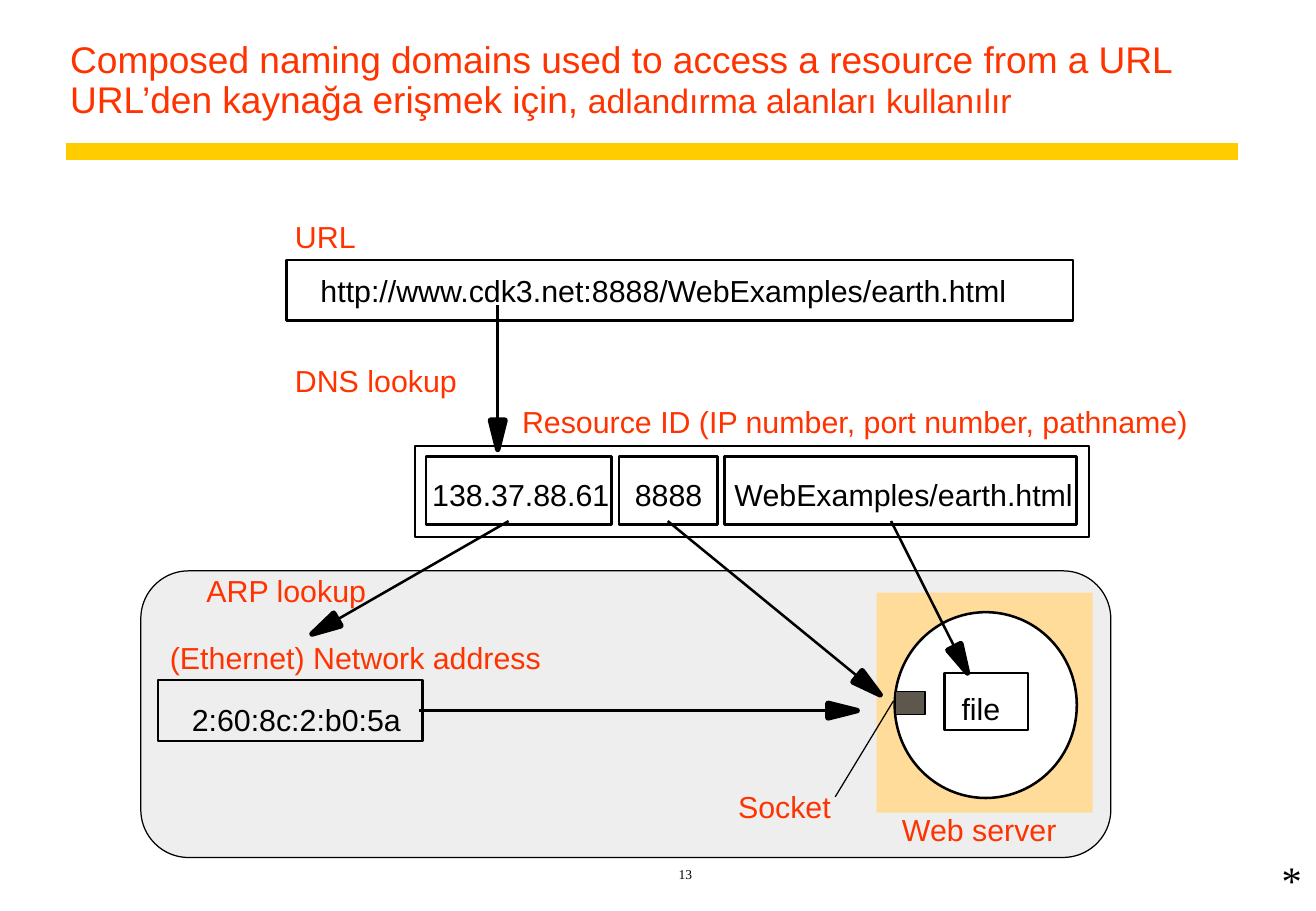
from dataclasses import dataclass
from math import hypot
from typing import NamedTuple, Optional

from lxml.etree import SubElement
from pptx import Presentation
from pptx.dml.color import RGBColor
from pptx.enum.shapes import MSO_CONNECTOR, MSO_SHAPE
from pptx.enum.text import MSO_ANCHOR, MSO_AUTO_SIZE, PP_ALIGN
from pptx.oxml.ns import qn
from pptx.util import Inches, Pt


@dataclass(frozen=True)
class Theme:
    black: str = "000000"
    white: str = "FFFFFF"
    label: str = "FF3300"
    rule: str = "FFCC00"
    network: str = "EEEEEE"
    server: str = "FFDC99"
    socket: str = "5E574E"
    sans: str = "Arial"
    serif: str = "Times New Roman"
    title_size: int = 22
    subtitle_size: int = 20
    body_size: int = 18
    number_size: int = 8
    mark_size: int = 24
    thin: float = 0.75
    medium: float = 1.5
    head_line: float = 3.25
    rule_line: float = 10


THEME = Theme()
HEAD_LENGTH, HEAD_HALF_WIDTH = 0.24, 0.06


class Box(NamedTuple):
    left: float
    top: float
    width: float
    height: float
    kind: MSO_SHAPE = MSO_SHAPE.RECTANGLE
    fill: Optional[str] = None
    line_width: float = THEME.medium


class Label(NamedTuple):
    text: str
    left: float
    top: float
    width: float
    color: str = THEME.label


class Arrow(NamedTuple):
    start: tuple[float, float]
    tip: tuple[float, float]


def style_shape(shape, fill: Optional[str], line_width: float) -> None:
    shape.shadow.inherit = False
    if fill:
        shape.fill.solid()
        shape.fill.fore_color.rgb = RGBColor.from_string(fill)
    else:
        shape.fill.background()
    if line_width:
        shape.line.color.rgb = RGBColor.from_string(THEME.black)
        shape.line.width = Pt(line_width)
    else:
        shape.line.fill.background()


def draw_box(slide, box: Box) -> None:
    shape = slide.shapes.add_shape(box.kind, *map(Inches, box[:4]))
    style_shape(shape, box.fill, box.line_width)


def draw_line(slide, start: tuple[float, float], end: tuple[float, float],
              width: float = THEME.medium, color: str = THEME.black) -> None:
    connector = slide.shapes.add_connector(
        MSO_CONNECTOR.STRAIGHT, *map(Inches, (*start, *end)))
    connector.line.color.rgb = RGBColor.from_string(color)
    connector.line.width = Pt(width)
    SubElement(connector._element.spPr, qn("a:effectLst"))


def draw_arrow(slide, arrow: Arrow) -> None:
    """Draw a line that ends in a long, solid triangular head."""
    (start_x, start_y), (tip_x, tip_y) = arrow
    length = hypot(tip_x - start_x, tip_y - start_y)
    unit_x, unit_y = (tip_x - start_x) / length, (tip_y - start_y) / length
    base_x, base_y = tip_x - HEAD_LENGTH * unit_x, tip_y - HEAD_LENGTH * unit_y
    side_x, side_y = -HEAD_HALF_WIDTH * unit_y, HEAD_HALF_WIDTH * unit_x
    draw_line(slide, arrow.start, (base_x, base_y))
    builder = slide.shapes.build_freeform(
        Inches(base_x + side_x), Inches(base_y + side_y))
    builder.add_line_segments([
        (Inches(tip_x), Inches(tip_y)),
        (Inches(base_x - side_x), Inches(base_y - side_y))], close=True)
    head = builder.convert_to_shape()
    style_shape(head, THEME.black, THEME.head_line)
    SubElement(head.line._get_or_add_ln(), qn("a:round"))


def add_run(paragraph, text: str, *, size: int = THEME.body_size,
            color: str = THEME.black, font: str = THEME.sans) -> None:
    run = paragraph.add_run()
    run.text = text
    run.font.name = font
    run.font.size = Pt(size)
    run.font.color.rgb = RGBColor.from_string(color)


def add_text(slide, text: str, *, at: tuple[float, float, float, float],
             margins: tuple[float, float] = (0, 0), wrap: bool = False,
             anchor=MSO_ANCHOR.TOP, align=PP_ALIGN.LEFT, **run_format):
    """Add a text box, growing with its text unless it wraps; return its paragraph."""
    frame = slide.shapes.add_textbox(*map(Inches, at)).text_frame
    frame.word_wrap = wrap
    frame.auto_size = MSO_AUTO_SIZE.NONE if wrap else MSO_AUTO_SIZE.SHAPE_TO_FIT_TEXT
    frame.vertical_anchor = anchor
    frame.margin_left = frame.margin_right = Inches(margins[0])
    frame.margin_top = frame.margin_bottom = Inches(margins[1])
    paragraph = frame.paragraphs[0]
    paragraph.alignment = align
    add_run(paragraph, text, **run_format)
    return paragraph


NETWORK_BOXES = [
    Box(1.16, 4.7, 7.99, 2.36, MSO_SHAPE.ROUNDED_RECTANGLE, THEME.network, THEME.thin),
    Box(7.22, 4.88, 1.78, 1.81, fill=THEME.server, line_width=0),
    Box(7.37, 5.04, 1.5, 1.53, MSO_SHAPE.OVAL, THEME.white),
    Box(7.78, 5.54, 0.69, 0.47),
    Box(7.38, 5.69, 0.24, 0.19, fill=THEME.socket, line_width=THEME.thin),
    Box(1.3, 5.6, 2.18, 0.5),
]
ADDRESS_BOXES = [
    Box(2.36, 2.14, 6.48, 0.5),
    Box(3.42, 3.67, 5.55, 0.75, fill=THEME.white),
    *(Box(left, 3.76, width, 0.56)
      for left, width in [(3.51, 1.53), (5.1, 0.81), (5.97, 2.9)]),
]
LABELS = [
    Label("URL", 2.43, 1.8, 0.5),
    Label("http://www.cdk3.net:8888/WebExamples/earth.html", 2.64, 2.24, 5.67, THEME.black),
    Label("DNS lookup", 2.43, 2.98, 1.34),
    Label("Resource ID (IP number, port number, pathname)", 4.3, 3.32, 5.52),
    Label("138.37.88.61", 3.56, 3.92, 1.46, THEME.black),
    Label("8888", 5.23, 3.92, 0.56, THEME.black),
    Label("WebExamples/earth.html", 6.05, 3.92, 2.79, THEME.black),
    Label("ARP lookup", 1.7, 4.71, 1.32),
    Label("(Ethernet) Network address", 1.4, 5.26, 3.06),
    Label("2:60:8c:2:b0:5a", 1.58, 5.77, 1.73, THEME.black),
    Label("file", 7.92, 5.68, 0.32, THEME.black),
    Label("Socket", 6.08, 6.49, 0.77),
    Label("Web server", 7.43, 6.68, 1.28),
]
ARROWS = [
    Arrow((4.1, 2.51), (4.1, 3.7)),
    Arrow((4.19, 4.29), (2.57, 5.22)),
    Arrow((5.5, 4.29), (7.25, 5.72)),
    Arrow((7.34, 4.29), (7.97, 5.54)),
    Arrow((3.45, 5.85), (7.06, 5.85)),
]

presentation = Presentation()
presentation.slide_width, presentation.slide_height = Inches(10.84), Inches(7.5)
slide = presentation.slides.add_slide(presentation.slide_layouts[6])

# Title and rule
title = add_text(slide, "Composed naming domains used to access a resource from a URL",
                 at=(0.48, 0.25, 9.72, 0.8), margins=(0.1, 0.05), wrap=True,
                 anchor=MSO_ANCHOR.BOTTOM, size=THEME.title_size, color=THEME.label)
title.line_spacing = 0.9
title.add_line_break()
add_run(title, "URL’den kaynağa erişmek için,", size=THEME.title_size, color=THEME.label)
add_run(title, " adlandırma alanları kullanılır", size=THEME.subtitle_size, color=THEME.label)
draw_line(slide, (0.54, 1.25), (10.2, 1.25), THEME.rule_line, THEME.rule)

# Naming diagram
for box in NETWORK_BOXES + ADDRESS_BOXES:
    draw_box(slide, box)
draw_line(slide, (7.36, 5.77), (6.88, 6.56), THEME.thin)
for label in LABELS:
    add_text(slide, label.text, at=(label.left, label.top, label.width, 0.3),
             color=label.color)
for arrow in ARROWS:
    draw_arrow(slide, arrow)

# Page number and corner mark
add_text(slide, "13", at=(2.35, 7, 6.59, 0.31), margins=(0.1, 0.05), wrap=True,
         anchor=MSO_ANCHOR.BOTTOM, align=PP_ALIGN.CENTER,
         size=THEME.number_size, font=THEME.serif)
add_text(slide, "*", at=(10.46, 6.99, 0.36, 0.5), margins=(0.1, 0.05),
         size=THEME.mark_size, font=THEME.serif)

presentation.save("out.pptx")
